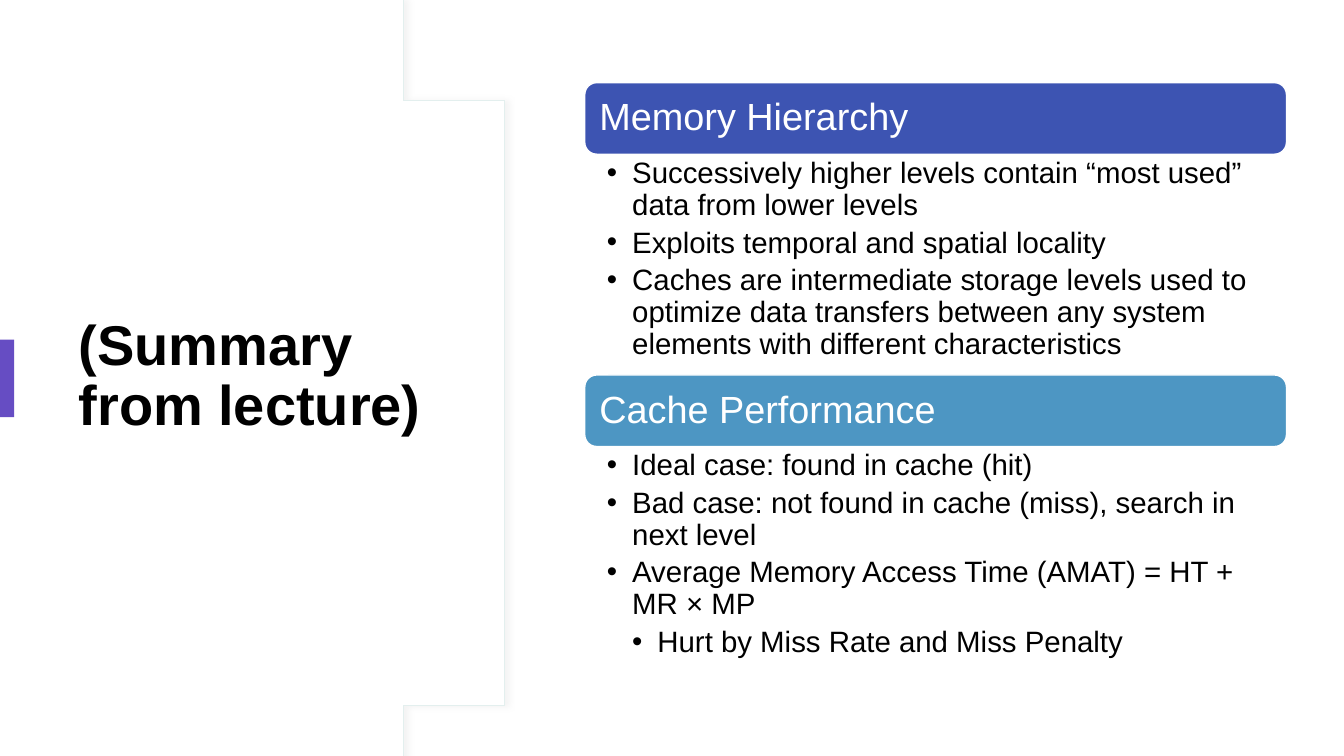
from pptx import Presentation
from pptx.dml.color import RGBColor
from pptx.enum.shapes import MSO_SHAPE as Shape
from pptx.enum.text import MSO_ANCHOR as Anchor, MSO_AUTO_SIZE as AutoSize, PP_ALIGN as Align
from pptx.oxml import parse_xml
from pptx.oxml.ns import nsdecls
from pptx.util import Inches, Pt

BLACK = RGBColor(0x00, 0x00, 0x00)
WHITE = RGBColor(0xFF, 0xFF, 0xFF)
PALE = RGBColor(0xE3, 0xEF, 0xEE)
PURPLE = RGBColor(0x66, 0x4D, 0xC3)
INDIGO = RGBColor(0x3D, 0x54, 0xB2)
BLUE = RGBColor(0x4D, 0x96, 0xC3)

WIDTH, HEIGHT = 13.33, 7.5
LIST_LEFT, LIST_WIDTH, BAR_HEIGHT = 5.8, 6.96, 0.71
BULLET_STEP = 0.25

SECTIONS = [
    ("Memory Hierarchy", INDIGO, 0.82, 2.2, [
        (0, "Successively higher levels contain “most used” data from lower levels"),
        (0, "Exploits temporal and spatial locality"),
        (0, "Caches are intermediate storage levels used to optimize data transfers "
            "between any system elements with different characteristics"),
    ]),
    ("Cache Performance", BLUE, 3.72, 2.26, [
        (0, "Ideal case: found in cache (hit)"),
        (0, "Bad case: not found in cache (miss), search in next level"),
        (0, "Average Memory Access Time (AMAT) = HT + MR × MP"),
        (1, "Hurt by Miss Rate and Miss Penalty"),
    ]),
]


def place(shape, left, top, width, height):
    shape.left, shape.top = Inches(left), Inches(top)
    shape.width, shape.height = Inches(width), Inches(height)


def write(paragraph, text, size, color, after=0, bold=False):
    paragraph.alignment = Align.LEFT
    paragraph.line_spacing = 0.9
    paragraph.space_before, paragraph.space_after = Pt(0), Pt(after)
    run = paragraph.add_run()
    run.text = text
    run.font.name, run.font.size, run.font.bold = "Arial", Pt(size), bold
    run.font.color.rgb = color


presentation = Presentation()
presentation.slide_width, presentation.slide_height = Inches(WIDTH), Inches(HEIGHT)
slide = presentation.slides.add_slide(presentation.slide_layouts[3])
shapes = slide.shapes
slide.background.fill.solid()
slide.background.fill.fore_color.rgb = WHITE

# Curved panel: the upper arc is sampled from a Bezier curve and mirrored below
arc_points = [(4.01, 0.08), (4.79, 1.02), (5.27, 2.32), (5.27, 3.75)]
upper_arc = [(3.94, 0)]
for step in range(41):
    t = step / 40
    weights = [(1 - t) ** 3, 3 * t * (1 - t) ** 2, 3 * t * t * (1 - t), t ** 3]
    upper_arc.append(tuple(sum(w * point[axis] for w, point in zip(weights, arc_points))
                           for axis in (0, 1)))
lower_arc = [(x, HEIGHT - y) for x, y in reversed(upper_arc[:-1])]
builder = shapes.build_freeform(0, 0, scale=Inches(1))
builder.add_line_segments(upper_arc + lower_arc + [(0, HEIGHT)], close=True)
panel = builder.convert_to_shape()
panel.fill.solid()
panel.fill.fore_color.rgb = WHITE
panel.line.color.rgb = PALE
panel.line.width = Pt(0.75)
panel._element.spPr.append(parse_xml(
    f'<a:effectLst {nsdecls("a")}><a:outerShdw blurRad="{Pt(4)}" dist="{Pt(3)}" dir="0">'
    '<a:srgbClr val="D9D9D9"><a:alpha val="30000"/></a:srgbClr>'
    '</a:outerShdw></a:effectLst>'))
shapes._spTree.insert(2, panel._element)  # behind the placeholders

# Title and its accent mark
title = shapes.title
place(title, 0.68, 1.27, 3.94, 4.95)
title.text_frame.vertical_anchor = Anchor.MIDDLE
title.text_frame.word_wrap = True
title.text_frame.auto_size = AutoSize.NONE
write(title.text_frame.paragraphs[0], "(Summary from lecture)", 40, BLACK, bold=True)

accent = shapes.add_shape(Shape.RECTANGLE, 0, Inches(3.37), Inches(0.14), Inches(0.77))
accent.shadow.inherit = False
accent.fill.solid()
accent.fill.fore_color.rgb = PURPLE
accent.line.fill.background()

# Heading bars, each with its bulleted list
bodies = list(slide.placeholders)[1:]
for body, (heading, color, top, list_height, items) in zip(bodies, SECTIONS):
    bar = shapes.add_shape(Shape.ROUNDED_RECTANGLE, Inches(LIST_LEFT), Inches(top),
                           Inches(LIST_WIDTH), Inches(BAR_HEIGHT))
    bar.shadow.inherit = False
    bar.fill.solid()
    bar.fill.fore_color.rgb = color
    bar.line.color.rgb = WHITE
    bar.line.width = Pt(1)
    frame = bar.text_frame
    frame.vertical_anchor = Anchor.MIDDLE
    # A rounded rectangle already adds a small inset of its own
    frame.margin_left = frame.margin_right = Inches(0.11)
    write(frame.paragraphs[0], heading, 27, WHITE)

    place(body, LIST_LEFT, top + BAR_HEIGHT, LIST_WIDTH, list_height)
    frame = body.text_frame
    frame.word_wrap, frame.auto_size = True, AutoSize.NONE
    frame.vertical_anchor = Anchor.TOP
    frame.margin_left, frame.margin_right = Inches(0.22), Inches(0.21)
    frame.margin_top = frame.margin_bottom = Inches(0.04)
    for index, (level, text) in enumerate(items):
        paragraph = frame.add_paragraph() if index else frame.paragraphs[0]
        paragraph.level = level
        write(paragraph, text, 21, BLACK, after=4.2)
        properties = paragraph._p.get_or_add_pPr()
        properties.set("marL", str(Inches(BULLET_STEP * (level + 1))))
        properties.set("indent", str(-Inches(BULLET_STEP)))
        properties.append(parse_xml(f'<a:buChar {nsdecls("a")} char="•"/>'))

presentation.save("out.pptx")
